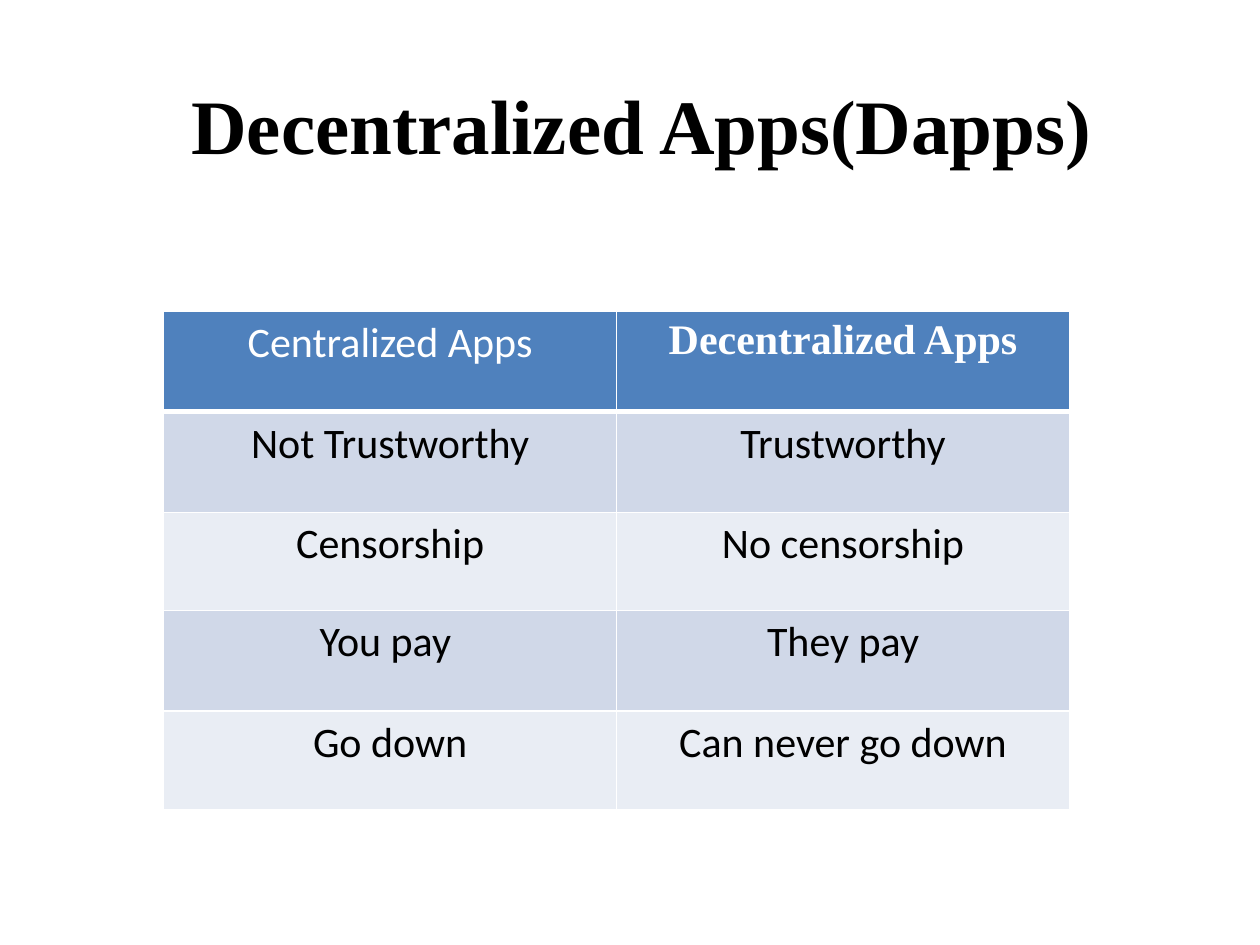
from lxml.etree import SubElement
from pptx import Presentation
from pptx.dml.color import RGBColor
from pptx.enum.text import MSO_ANCHOR as Anchor, PP_ALIGN as Align
from pptx.oxml.ns import qn
from pptx.util import Cm, Pt

COLORS = {
    "ink": "000000",
    "white": "FFFFFF",
    "header": "4F81BD",
    "band_dark": "D0D8E8",
    "band_light": "E9EDF4",
}
TITLE_FONT = {"name": "Times New Roman", "size": Pt(44), "bold": True}
BODY_FONT = {"name": "Calibri", "size": Pt(24), "bold": False}
STRONG_FONT = {"name": "Times New Roman", "size": Pt(24), "bold": True}
CELL_FORMAT = {
    "margin_left": Cm(0.18),
    "margin_right": Cm(0.18),
    "margin_top": Cm(0.13),
    "margin_bottom": Cm(0.13),
    "vertical_anchor": Anchor.TOP,
}
ROWS = [
    ("Centralized Apps", "Decentralized Apps"),
    ("Not Trustworthy", "Trustworthy"),
    ("Censorship", "No censorship"),
    ("You pay ", "They pay"),
    ("Go down", "Can never go down"),
]
ROW_HEIGHTS = [2.03, 2.03, 1.98, 2.03, 1.98]
COLUMN_WIDTH = 9.13


def apply_format(target, values):
    for name, value in values.items():
        setattr(target, name, value)


def write_text(frame, text, font, color):
    para = frame.paragraphs[0]
    para.alignment = Align.CENTER
    span = para.add_run()
    span.text = text
    apply_format(span.font, font)
    span.font.color.rgb = RGBColor.from_string(COLORS[color])


def add_title(page, text):
    title = page.shapes.title
    apply_format(title, {"left": Cm(2.46), "top": Cm(0.48),
                         "width": Cm(20.96), "height": Cm(4.04)})
    title.text_frame.vertical_anchor = Anchor.MIDDLE
    write_text(title.text_frame, text, TITLE_FONT, "ink")


def add_borders(cell, bottom):
    properties = cell._tc.get_or_add_tcPr()
    for side, points in {"L": 1, "R": 1, "T": 1, "B": bottom}.items():
        line = SubElement(properties, qn(f"a:ln{side}"), w=str(Pt(points)))
        fill = SubElement(line, qn("a:solidFill"))
        SubElement(fill, qn("a:srgbClr"), val=COLORS["white"])


def format_cell(cell, text, font, ink, fill, bottom):
    apply_format(cell, CELL_FORMAT)
    write_text(cell.text_frame, text, font, ink)
    add_borders(cell, bottom)
    cell.fill.solid()
    cell.fill.fore_color.rgb = RGBColor.from_string(COLORS[fill])


def add_comparison(page):
    frame = page.shapes.add_table(len(ROWS), 2, Cm(3.3), Cm(6.27),
                                  Cm(2 * COLUMN_WIDTH), Cm(sum(ROW_HEIGHTS)))
    table = frame.table
    for column in table.columns:
        column.width = Cm(COLUMN_WIDTH)
    for r, (texts, height) in enumerate(zip(ROWS, ROW_HEIGHTS)):
        table.rows[r].height = Cm(height)
        is_header = r == 0
        band = "band_dark" if r % 2 else "band_light"
        for c, text in enumerate(texts):
            format_cell(
                table.cell(r, c),
                text,
                STRONG_FONT if is_header and c == 1 else BODY_FONT,
                "white" if is_header else "ink",
                "header" if is_header else band,
                3 if is_header else 1,
            )


def main():
    deck = Presentation()
    deck.slide_width, deck.slide_height = Cm(25.4), Cm(19.05)
    page = deck.slides.add_slide(deck.slide_layouts.get_by_name("Title Only"))
    add_title(page, "Decentralized Apps(Dapps)")
    add_comparison(page)
    deck.save("out.pptx")


if __name__ == "__main__":
    main()
